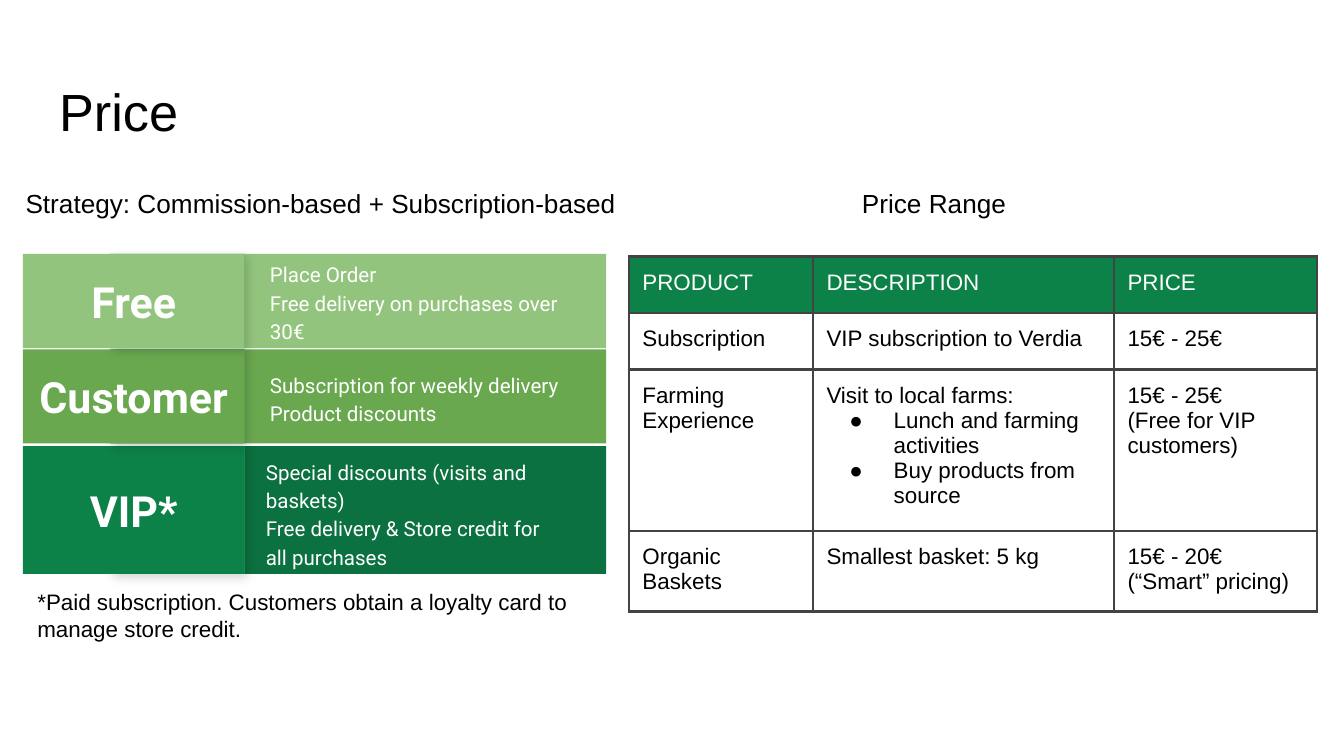
from lxml import etree
from pptx import Presentation
from pptx.dml.color import RGBColor
from pptx.enum.shapes import MSO_SHAPE as SHAPE
from pptx.enum.text import MSO_ANCHOR as ANCHOR, PP_ALIGN as ALIGN
from pptx.oxml import parse_xml
from pptx.oxml.ns import qn
from pptx.util import Inches, Pt

BLACK = RGBColor(0, 0, 0)
WHITE = RGBColor(255, 255, 255)
GREEN = RGBColor(0x0C, 0x81, 0x48)
DEEP_GREEN = RGBColor(0x0B, 0x71, 0x40)
SHADE_GREEN = RGBColor(0x0B, 0x77, 0x43)
MID_GREEN = RGBColor(0x6A, 0xA8, 0x4F)
LIGHT_GREEN = RGBColor(0x93, 0xC4, 0x7D)
NS = 'xmlns:a="http://schemas.openxmlformats.org/drawingml/2006/main"'
BULLET = "● "


def write(tf, text, size=12, color=BLACK, font="Arial", bold=False,
          align=ALIGN.LEFT, anchor=ANCHOR.TOP, spacing=1.0, after=0):
    """Fill a text frame, one paragraph a line; lines led by BULLET become list items."""
    tf.word_wrap = True
    tf.vertical_anchor = anchor
    tf.margin_left = tf.margin_right = tf.margin_top = tf.margin_bottom = Inches(0.1)
    for i, line in enumerate(text.split("\n")):
        p = tf.add_paragraph() if i else tf.paragraphs[0]
        p.alignment, p.line_spacing = align, spacing
        p.space_before, p.space_after = Pt(0), Pt(after)
        listed = line.startswith(BULLET)
        pPr = p._p.get_or_add_pPr()
        pPr.set("marL", str(Inches(0.5 if listed else 0)))
        pPr.set("indent", str(Inches(-0.33 if listed else 0)))
        if listed:
            etree.SubElement(pPr, qn("a:buSzPts")).set("val", str(size * 100))
            etree.SubElement(pPr, qn("a:buFont")).set("typeface", font)
            etree.SubElement(pPr, qn("a:buChar")).set("char", BULLET.strip())
        else:
            etree.SubElement(pPr, qn("a:buNone"))
        r = p.add_run()
        r.text = line.removeprefix(BULLET)
        r.font.name, r.font.size = font, Pt(size)
        r.font.bold, r.font.color.rgb = bold, color


def add_panel(shapes, left, top, width, height, color):
    sp = shapes.add_shape(SHAPE.RECTANGLE, Inches(left), Inches(top),
                          Inches(width), Inches(height))
    sp.shadow.inherit = False
    sp.fill.solid()
    sp.fill.fore_color.rgb = color
    sp.line.fill.background()
    return sp


prs = Presentation()
prs.slide_width, prs.slide_height = Inches(10), Inches(10) * 9 // 16
s = prs.slides.add_slide(prs.slide_layouts[3])

# Title and column headings
title, strategy, price_range = s.placeholders
for sp, box, text, style in [
    (title, (0.34, 0.49, 9.32, 0.63), "Price", dict(size=28)),
    (strategy, (0.09, 1.26, 5.11, 0.55),
     "Strategy: Commission-based + Subscription-based",
     dict(size=14, spacing=1.15, after=16)),
    (price_range, (4.68, 1.26, 4.54, 0.5), "Price Range",
     dict(size=14, spacing=1.15, after=16, align=ALIGN.CENTER)),
]:
    sp.left, sp.top, sp.width, sp.height = map(Inches, box)
    write(sp.text_frame, text, **style)

# Customer tiers: name, top, height, name colour, benefit colour, benefit box, benefits
tiers = [
    ("VIP*", 3.32, 0.95, GREEN, DEEP_GREEN, (1.88, 3.45, 2.4, 0.73),
     "Special discounts (visits and baskets)\n"
     "Free delivery & Store credit for all purchases"),
    ("Customer", 2.6, 0.7, MID_GREEN, MID_GREEN, (1.91, 2.69, 2.54, 0.54),
     "Subscription for weekly delivery\nProduct discounts"),
    ("Free", 1.89, 0.7, LIGHT_GREEN, LIGHT_GREEN, (1.91, 1.97, 2.59, 0.54),
     "Place Order\nFree delivery on purchases over 30€"),
]
for name, top, height, name_color, benefit_color, box, benefits in tiers:
    shapes = s.shapes.add_group_shape().shapes
    add_panel(shapes, 1.82, top, 2.69, height, benefit_color)
    tb = shapes.add_textbox(*map(Inches, box))
    write(tb.text_frame, benefits, size=11, color=WHITE, font="Roboto",
          anchor=ANCHOR.MIDDLE, spacing=1.15)
    shade = add_panel(shapes, 0.82, top, 1, height, SHADE_GREEN)
    shade._element.spPr.find(qn("a:effectLst")).append(parse_xml(
        f'<a:outerShdw {NS} blurRad="{Pt(5.6)}" dist="{Pt(2.2)}" dir="2700000" '
        'algn="tl" rotWithShape="0"><a:srgbClr val="000000">'
        '<a:alpha val="17000"/></a:srgbClr></a:outerShdw>'))
    label = add_panel(shapes, 0.17, top, 1.65, height, name_color)
    write(label.text_frame, name, size=23, color=WHITE, font="Roboto", bold=True,
          align=ALIGN.CENTER, anchor=ANCHOR.MIDDLE)

footnote = s.shapes.add_textbox(Inches(0.18), Inches(4.28), Inches(4.33), Inches(0.63))
write(footnote.text_frame, "*Paid subscription. Customers obtain a loyalty card to "
      "manage store credit.")

# Price table
rows = [
    ("PRODUCT", "DESCRIPTION", "PRICE"),
    ("Subscription", "VIP subscription to Verdia", "15€ - 25€"),
    ("Farming Experience",
     f"Visit to local farms:\n{BULLET}Lunch and farming activities\n"
     f"{BULLET}Buy products from source",
     "15€ - 25€\n(Free for VIP customers)"),
    ("Organic Baskets", "Smallest basket: 5 kg", "15€ - 20€\n(“Smart” pricing)"),
]
col_widths = [1.37, 2.24, 1.51]
row_heights = [0.42, 0.42, 1.13, 0.59]
table = s.shapes.add_table(len(rows), len(col_widths), Inches(4.68), Inches(1.91),
                           Inches(sum(col_widths)), Inches(sum(row_heights))).table
table.first_row = table.horz_banding = False
for col, width in zip(table.columns, col_widths):
    col.width = Inches(width)
for row, height in zip(table.rows, row_heights):
    row.height = Inches(height)
for i, texts in enumerate(rows):
    for j, text in enumerate(texts):
        cell = table.cell(i, j)
        write(cell.text_frame, text, color=BLACK if i else WHITE)
        cell.margin_left = cell.margin_right = Inches(0.1)
        cell.margin_top = cell.margin_bottom = Inches(0.1)
        tcPr = cell._tc.get_or_add_tcPr()
        for side in "LRTB":
            tcPr.append(parse_xml(
                f'<a:ln{side} {NS} w="{Pt(1.5)}"><a:solidFill>'
                f'<a:srgbClr val="434343"/></a:solidFill></a:ln{side}>'))
        if i:
            cell.fill.background()
        else:
            cell.fill.solid()
            cell.fill.fore_color.rgb = GREEN

prs.save("out.pptx")
